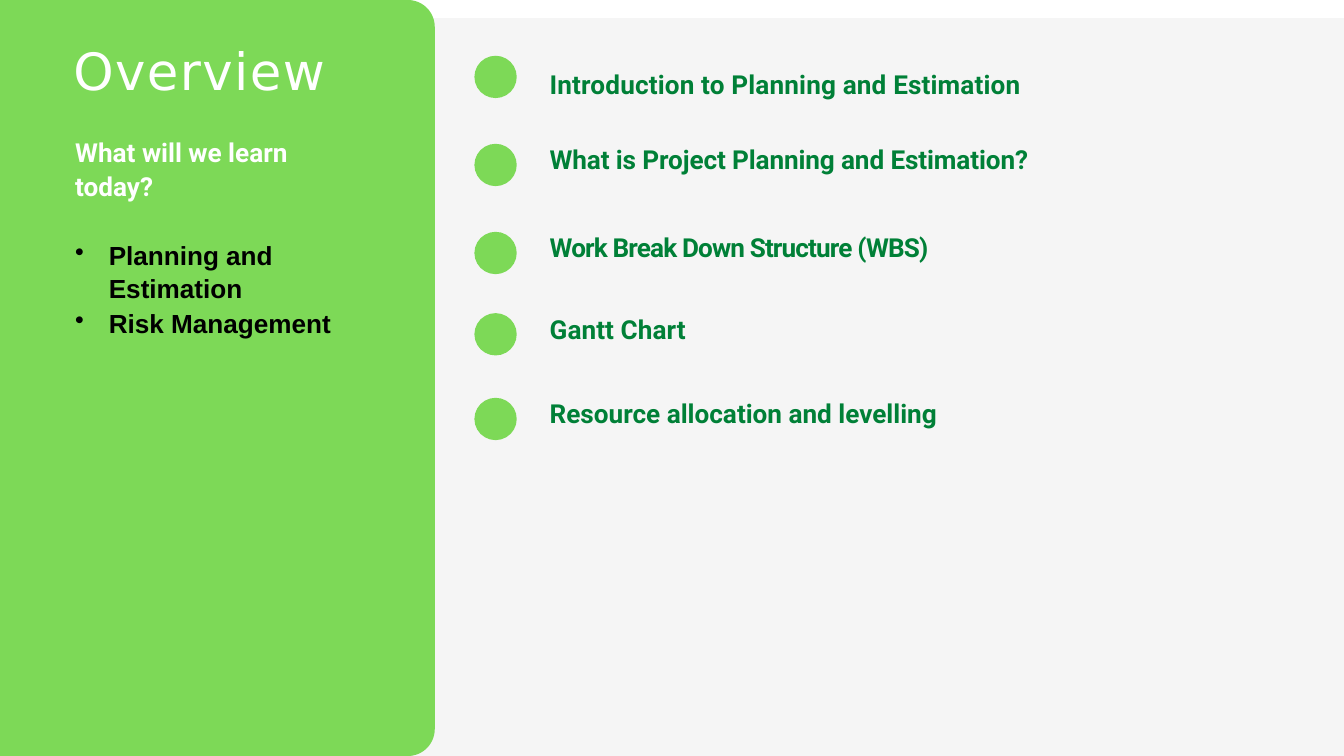
import math

from lxml import etree
from pptx import Presentation
from pptx import util as u
from pptx.dml.color import RGBColor
from pptx.enum import shapes, text
from pptx.oxml.ns import qn

COLORS = {
    "white": "FFFFFF",
    "black": "000000",
    "backdrop": "F5F5F5",
    "green": "7DD957",
    "dark_green": "008037",
}

# Topic, top of its dot, top of its text, letter spacing in points
TOPICS = [
    ("Introduction to Planning and Estimation", 0.83, 0.99, 0.2),
    ("What is Project Planning and Estimation?", 2.14, 2.12, -0.1),
    ("Work Break Down Structure (WBS)", 3.45, 3.42, -0.9),
    ("Gantt Chart", 4.66, 4.64, 0.1),
    ("Resource allocation and levelling", 5.92, 5.89, 0),
]


def paint(shape, color):
    shape.shadow.inherit = False
    shape.fill.solid()
    shape.fill.fore_color.rgb = RGBColor.from_string(COLORS[color])
    shape.line.fill.background()


def add_shape(slide, kind, left, top, width, height, color):
    shape = slide.shapes.add_shape(
        kind, u.Inches(left), u.Inches(top), u.Inches(width), u.Inches(height))
    paint(shape, color)


def add_text_frame(slide, left, top, width, height):
    box = slide.shapes.add_textbox(
        u.Inches(left), u.Inches(top), u.Inches(width), u.Inches(height))
    frame = box.text_frame
    frame.word_wrap = True
    frame.vertical_anchor = text.MSO_ANCHOR.TOP
    frame.margin_left = frame.margin_right = frame.margin_bottom = 0
    frame.margin_top = u.Inches(0.02)
    return frame


def write(paragraph, words, size, font, color, bold=True, spacing=0):
    run = paragraph.add_run()
    run.text = words
    if spacing:
        run.font._element.set("spc", str(round(spacing * 100)))
    paragraph.font.size = u.Pt(size)
    paragraph.font.name = font
    paragraph.font.bold = bold
    paragraph.font.color.rgb = RGBColor.from_string(COLORS[color])


def add_bullet(paragraph, indent):
    properties = paragraph._p.get_or_add_pPr()
    properties.set("marL", str(u.Inches(indent)))
    properties.set("indent", str(-u.Inches(indent)))
    etree.SubElement(properties, qn("a:buChar")).set("char", "•")


def add_panel(slide, left, top, width, height, radius=0.4):
    """Panel with both right corners rounded."""
    right, bottom = left + width, top + height
    points = [(left, bottom), (left, top)]
    for center_y, start in ((top + radius, -90), (bottom - radius, 0)):
        for angle in range(start, start + 91, 6):
            turn = math.radians(angle)
            points.append((right - radius + radius * math.cos(turn),
                           center_y + radius * math.sin(turn)))
    corners = [(u.Inches(x), u.Inches(y)) for x, y in points]
    builder = slide.shapes.build_freeform(*corners[0])
    builder.add_line_segments(corners[1:], close=True)
    paint(builder.convert_to_shape(), "green")


def add_sidebar(slide, left, top, width, height):
    add_panel(slide, left, top, width, height)

    # Title
    title = add_text_frame(slide, left + 1.09, top + 0.56, 3.78, 0.94)
    write(title.paragraphs[0], "Overview", 55, "DejaVu Sans", "white",
          bold=False, spacing=1.6)

    # Question and lesson parts
    frame = add_text_frame(slide, left + 1.12, top + 1.98, 4.3, 3.06)
    question = frame.paragraphs[0]
    question.line_spacing = 1.07
    write(question, "What will we learn today?", 28, "Roboto", "white")
    for words, gap in (("Planning and Estimation", 38), ("Risk Management", 1)):
        paragraph = frame.add_paragraph()
        paragraph.line_spacing = 1.07
        paragraph.space_before = u.Pt(gap)
        add_bullet(paragraph, 0.5)
        write(paragraph, words, 28, "Arial", "black")


def add_topics(slide, left, top, width):
    dot, text_offset = 0.63, 1.12
    for words, dot_top, text_top, spacing in TOPICS:
        add_shape(slide, shapes.MSO_SHAPE.OVAL, left, top + dot_top, dot, dot,
                  "green")
        frame = add_text_frame(slide, left + text_offset, top + text_top,
                               width - text_offset, 0.49)
        write(frame.paragraphs[0], words, 28, "Roboto", "dark_green",
              spacing=spacing)


def main():
    presentation = Presentation()
    presentation.slide_width = u.Inches(20)
    presentation.slide_height = u.Inches(11.25)
    slide = presentation.slides.add_slide(presentation.slide_layouts[6])

    # Backdrop
    add_shape(slide, shapes.MSO_SHAPE.RECTANGLE, 0, 0.27, 20, 10.98, "backdrop")
    add_sidebar(slide, 0, 0, 6.47, 11.25)
    add_topics(slide, 7.06, 0, 9.2)

    presentation.save("out.pptx")


if __name__ == "__main__":
    main()
